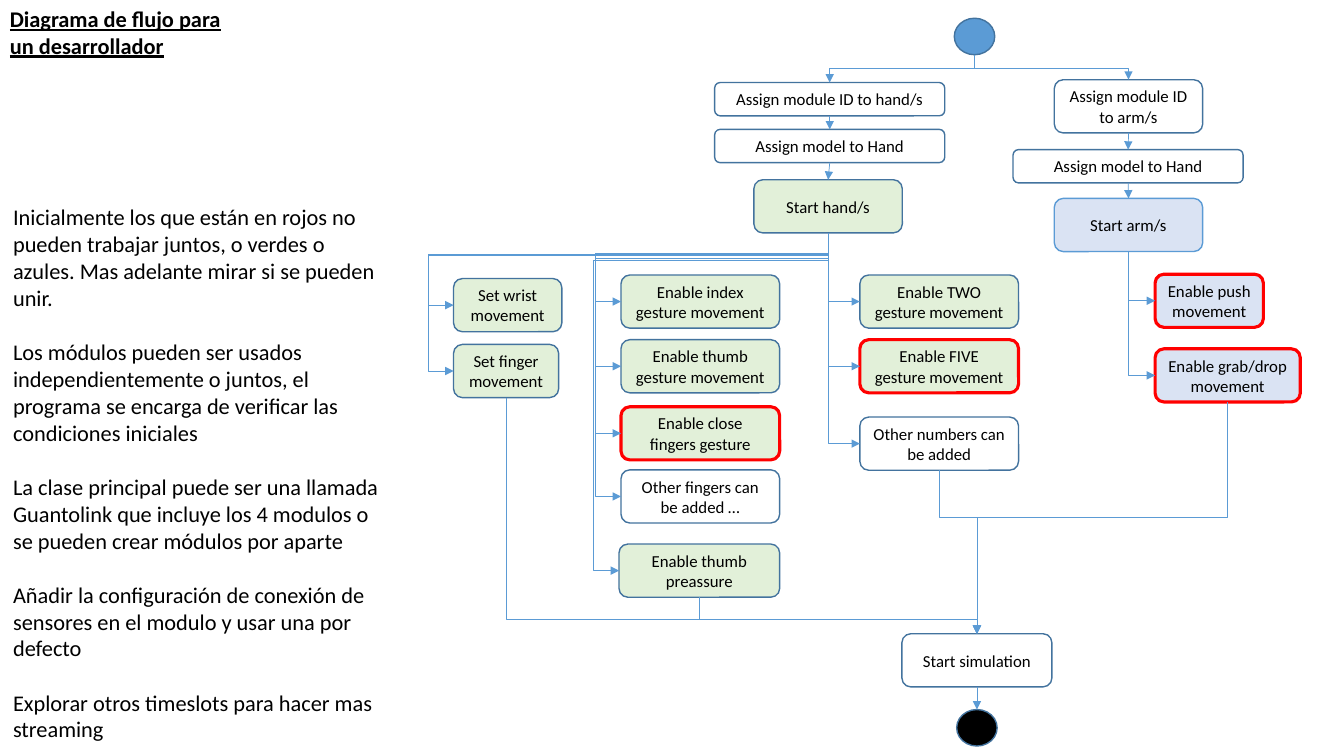
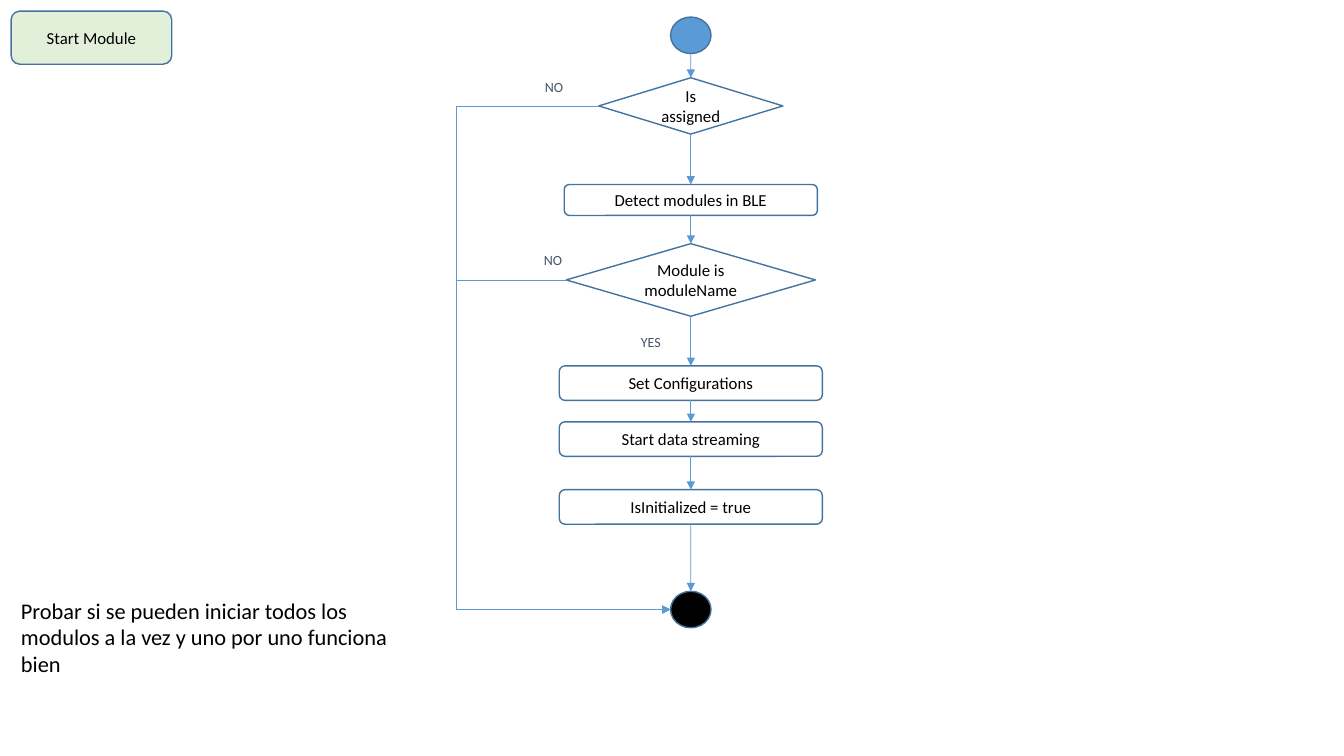
"""Build two flowchart slides describing a glove sensor program."""
from pptx import Presentation
from pptx.dml.color import RGBColor
from pptx.enum.shapes import MSO_CONNECTOR, MSO_SHAPE
from pptx.enum.text import MSO_ANCHOR, PP_ALIGN
from pptx.oxml.ns import qn
from pptx.oxml.xmlchemy import OxmlElement
from pptx.util import Cm, Pt

STRAIGHT, ELBOW = MSO_CONNECTOR.STRAIGHT, MSO_CONNECTOR.ELBOW
ROUNDED, DIAMOND, OVAL = MSO_SHAPE.ROUNDED_RECTANGLE, MSO_SHAPE.DIAMOND, MSO_SHAPE.OVAL
MIDDLE, CENTER = MSO_ANCHOR.MIDDLE, PP_ALIGN.CENTER

BLACK = RGBColor(0x00, 0x00, 0x00)
BLUE = RGBColor(0x5B, 0x9B, 0xD5)
DARK_BLUE = RGBColor(0x43, 0x73, 0x9E)
LIGHT_BLUE = RGBColor(0xDA, 0xE3, 0xF3)
LIGHT_GREEN = RGBColor(0xE2, 0xF0, 0xD9)
RED = RGBColor(0xFF, 0x00, 0x00)
SLATE = RGBColor(0x44, 0x54, 0x6A)

FONT = "Calibri"
SITES = {"top": 0, "left": 1, "bottom": 2}
TALL, SHORT = 1.34, 0.84
GESTURE_WIDTH = 4
DETOUR = 0.64
AXIS = 17.41
NO_LANE = 11.49

NOTES = (
    "Inicialmente los que están en rojos no pueden trabajar juntos, o verdes o azules. "
    "Mas adelante mirar si se pueden unir.",
    "Los módulos pueden ser usados independientemente o juntos, el programa se encarga "
    "de verificar las condiciones iniciales",
    "La clase principal puede ser una llamada Guantolink que incluye los 4 modulos o "
    "se pueden crear módulos por aparte",
    "Añadir la configuración de conexión de sensores en el modulo y usar una por defecto",
    "Explorar otros timeslots para hacer mas streaming",
)


def format_runs(paragraph, size, color=BLACK, heading=False):
    """Apply the shared font to every run of a paragraph."""
    for run in paragraph.runs:
        run.font.name = FONT
        run.font.size = Pt(size)
        run.font.color.rgb = color
        if heading:
            run.font.bold = run.font.underline = True


def add_text(slide, text, left, top, width, height, size=16, color=BLACK,
             wrap=True, heading=False):
    """Add a text box whose paragraphs are one line apart."""
    frame = slide.shapes.add_textbox(Cm(left), Cm(top), Cm(width), Cm(height)).text_frame
    frame.word_wrap = wrap
    frame.text = text
    for index, paragraph in enumerate(frame.paragraphs):
        format_runs(paragraph, size, color, heading)
        if index:
            paragraph.space_before = Pt(19.5)


def add_node(slide, text, left, top, width, height=TALL, fill=None,
             line=DARK_BLUE, kind=ROUNDED):
    """Add one flowchart shape with optional centred text."""
    node = slide.shapes.add_shape(kind, Cm(left), Cm(top), Cm(width), Cm(height))
    node.shadow.inherit = False
    if fill is None:
        node.fill.background()
    else:
        node.fill.solid()
        node.fill.fore_color.rgb = fill
    node.line.color.rgb = line
    node.line.width = Pt(2.25 if line == RED else 1)
    if text:
        frame = node.text_frame
        frame.text = text
        frame.word_wrap = True
        frame.vertical_anchor = MIDDLE
        frame.paragraphs[0].alignment = CENTER
        format_runs(frame.paragraphs[0], 12)
    return node


def add_terminal(slide, center, top, fill):
    """Add the round start or end mark."""
    return add_node(slide, "", center - 0.51, top, 1.02, 0.92, fill, kind=OVAL)


def site_point(node, side):
    """Return the position of a connection site."""
    if side == "left":
        return node.left, node.top + node.height // 2
    return node.left + node.width // 2, node.top + (node.height if side == "bottom" else 0)


def add_arrow(slide, start, end, start_side="bottom", end_side="top", kind=STRAIGHT):
    """Add an arrow attached to two nodes."""
    arrow = slide.shapes.add_connector(
        kind, *site_point(start, start_side), *site_point(end, end_side))
    arrow.begin_connect(start, SITES[start_side])
    arrow.end_connect(end, SITES[end_side])
    for tag, node, side in (("a:stCxn", start, start_side), ("a:endCxn", end, end_side)):
        if node.auto_shape_type == OVAL:
            arrow._element.find(".//" + qn(tag)).set("idx", str(2 * SITES[side]))
    arrow.line.color.rgb = BLUE
    arrow.line.width = Pt(0.5)
    head = OxmlElement("a:tailEnd")
    head.set("type", "triangle")
    arrow.line._get_or_add_ln().append(head)
    arrow._element.spPr.append(OxmlElement("a:effectLst"))
    return arrow


def shape_elbow(arrow, preset, adjustments, left, top, width, height, turn):
    """Set the bends, frame and orientation of an elbow arrow."""
    arrow.left, arrow.top = int(left), int(top)
    arrow.width, arrow.height = int(width), int(height)
    frame = arrow._element.spPr.find(qn("a:xfrm"))
    for name in ("rot", "flipH", "flipV"):
        frame.attrib.pop(name, None)
    for name, value in turn.items():
        frame.set(name, value)
    geometry = arrow._element.spPr.find(qn("a:prstGeom"))
    geometry.set("prst", preset)
    values = geometry.find(qn("a:avLst"))
    for number, adjustment in enumerate(adjustments, 1):
        guide = OxmlElement("a:gd")
        guide.set("name", f"adj{number}")
        guide.set("fmla", f"val {round(adjustment * 100000)}")
        values.append(guide)


def add_down_elbow(slide, start, end, end_side="top", lane=None):
    """Add an elbow arrow leaving downwards, turning at the height of its lane."""
    arrow = add_arrow(slide, start, end, end_side=end_side, kind=ELBOW)
    (x1, y1), (x2, y2) = site_point(start, "bottom"), site_point(end, end_side)
    drop, reach = y2 - y1, abs(x2 - x1)
    adjustments = [] if lane is None else [(Cm(lane) - y1) / drop]
    preset = "bentConnector3" if adjustments else "bentConnector2"
    if adjustments and end_side == "left":
        preset = "bentConnector4"
        adjustments.append(1 + Cm(DETOUR) / reach)
    turn = {"rot": "5400000"} if x2 < x1 else {"rot": "16200000", "flipH": "1"}
    shape_elbow(arrow, preset, adjustments, (x1 + x2 - drop) / 2,
                (y1 + y2 - reach) / 2, drop, reach, turn)


def add_left_elbow(slide, start, end, lane):
    """Add an elbow arrow leaving left and entering the end node from the left."""
    arrow = add_arrow(slide, start, end, "left", "left", ELBOW)
    (x1, y1), (x2, y2) = site_point(start, "left"), site_point(end, "left")
    adjustment = (Cm(lane) - x1) / (x2 - x1)
    shape_elbow(arrow, "bentConnector3", [adjustment], x1, y1, x2 - x1, y2 - y1, {})


def add_chain(slide, nodes):
    """Join consecutive nodes by straight arrows."""
    for start, end in zip(nodes, nodes[1:]):
        add_arrow(slide, start, end)


def build_developer_flow(slide):
    """Draw the developer flowchart and its notes."""
    add_text(slide, "Diagrama de flujo para un desarrollador", 0, 0, 5.84, 1.63, heading=True)
    add_text(slide, "\n".join(NOTES), 0.08, 5, 9.78, 13.94)

    start = add_terminal(slide, 24.56, 0.46, BLUE)
    hand = [
        add_node(slide, "Assign module ID to hand/s", 18.01, 2.08, 5.8, SHORT),
        add_node(slide, "Assign model to Hand", 18.01, 3.26, 5.8, SHORT),
        add_node(slide, "Start hand/s", 19, 4.53, 3.74, fill=LIGHT_GREEN),
    ]
    arm = [
        add_node(slide, "Assign module ID to arm/s", 26.57, 2.01, 3.74),
        add_node(slide, "Assign model to Hand", 25.53, 3.77, 5.8, SHORT),
        add_node(slide, "Start arm/s", 26.57, 5, 3.74, fill=LIGHT_BLUE, line=BLUE),
    ]
    for branch in (hand, arm):
        add_down_elbow(slide, start, branch[0], lane=1.72)
        add_chain(slide, branch)

    detoured = (
        ("Set wrist movement", 11.43, 7.02, 2.73, LIGHT_GREEN, DARK_BLUE, 6.43),
        ("Set finger movement", 11.43, 8.68, 2.65, LIGHT_GREEN, DARK_BLUE, 6.4),
        ("Enable index gesture movement", 15.65, 6.93, GESTURE_WIDTH, LIGHT_GREEN, DARK_BLUE, 6.4),
        ("Enable thumb gesture movement", 15.65, 8.56, GESTURE_WIDTH, LIGHT_GREEN, DARK_BLUE, 6.38),
        ("Enable close fingers gesture", 15.65, 10.25, GESTURE_WIDTH, LIGHT_GREEN, RED, 6.5),
        ("Other fingers can be added …", 15.65, 11.84, GESTURE_WIDTH, None, DARK_BLUE, 6.45),
        ("Enable thumb preassure", 15.6, 13.71, 4.05, LIGHT_GREEN, DARK_BLUE, 6.55),
    )
    direct = (
        (hand[-1], "Enable TWO gesture movement", 21.67, 6.93, GESTURE_WIDTH, LIGHT_GREEN, DARK_BLUE),
        (hand[-1], "Enable FIVE gesture movement", 21.67, 8.56, GESTURE_WIDTH, LIGHT_GREEN, RED),
        (hand[-1], "Other numbers can be added", 21.67, 10.51, GESTURE_WIDTH, None, DARK_BLUE),
        (arm[-1], "Enable push movement", 29.11, 6.91, 2.73, LIGHT_BLUE, RED),
        (arm[-1], "Enable grab/drop movement", 29.11, 8.79, 3.66, LIGHT_BLUE, RED),
    )
    actions = {}
    for text, left, top, width, fill, line, lane in detoured:
        actions[text] = add_node(slide, text, left, top, width, fill=fill, line=line)
        add_down_elbow(slide, hand[-1], actions[text], "left", lane)
    for parent, text, left, top, width, fill, line in direct:
        actions[text] = add_node(slide, text, left, top, width, fill=fill, line=line)
        add_down_elbow(slide, parent, actions[text], "left")

    simulation = add_node(slide, "Start simulation", 22.73, 15.97, 3.78)
    add_chain(slide, [simulation, add_terminal(slide, 24.62, 17.88, BLACK)])
    for text, lane in (("Set finger movement", 15.62), ("Enable thumb preassure", 15.6),
                       ("Other numbers can be added", 13.04),
                       ("Enable grab/drop movement", 13.04)):
        add_down_elbow(slide, actions[text], simulation, lane=lane)


def build_module_flow(slide):
    """Draw the module start flowchart."""
    add_text(slide, "Probar si se pueden iniciar todos los modulos a la vez y uno por uno "
             "funciona bien", 0.28, 14.91, 10.06, 2.31)
    add_node(slide, "Start Module", 0.28, 0.28, 4.05, fill=LIGHT_GREEN)

    steps = (
        ("Is assigned", 1.96, 4.64, 1.42, DIAMOND),
        ("Detect modules in BLE", 4.65, 6.38, 0.78, ROUNDED),
        ("Module is moduleName", 6.14, 6.28, 1.83, DIAMOND),
        ("Set Configurations", 9.22, 6.63, 0.87, ROUNDED),
        ("Start data streaming", 10.63, 6.63, 0.87, ROUNDED),
        ("IsInitialized = true", 12.34, 6.63, 0.87, ROUNDED),
    )
    nodes = [add_terminal(slide, AXIS, 0.43, BLUE)]
    for text, top, width, height, kind in steps:
        nodes.append(add_node(slide, text, AXIS - width / 2, top, width, height, kind=kind))
    nodes.append(add_terminal(slide, AXIS, 14.9, BLACK))
    add_chain(slide, nodes)
    for node in nodes:
        if node.auto_shape_type == DIAMOND:
            add_left_elbow(slide, node, nodes[-1], NO_LANE)

    for text, left, top in (("NO", 13.48, 1.85), ("NO", 13.46, 6.22), ("YES", 15.9, 8.27)):
        add_text(slide, text, left, top, 1, 0.68, 10, SLATE, wrap=False)


def main():
    """Create and save the presentation."""
    presentation = Presentation()
    presentation.slide_width, presentation.slide_height = Cm(33.87), Cm(19.05)
    blank = presentation.slide_layouts[6]
    for build in (build_developer_flow, build_module_flow):
        build(presentation.slides.add_slide(blank))
    presentation.save("out.pptx")


main()
